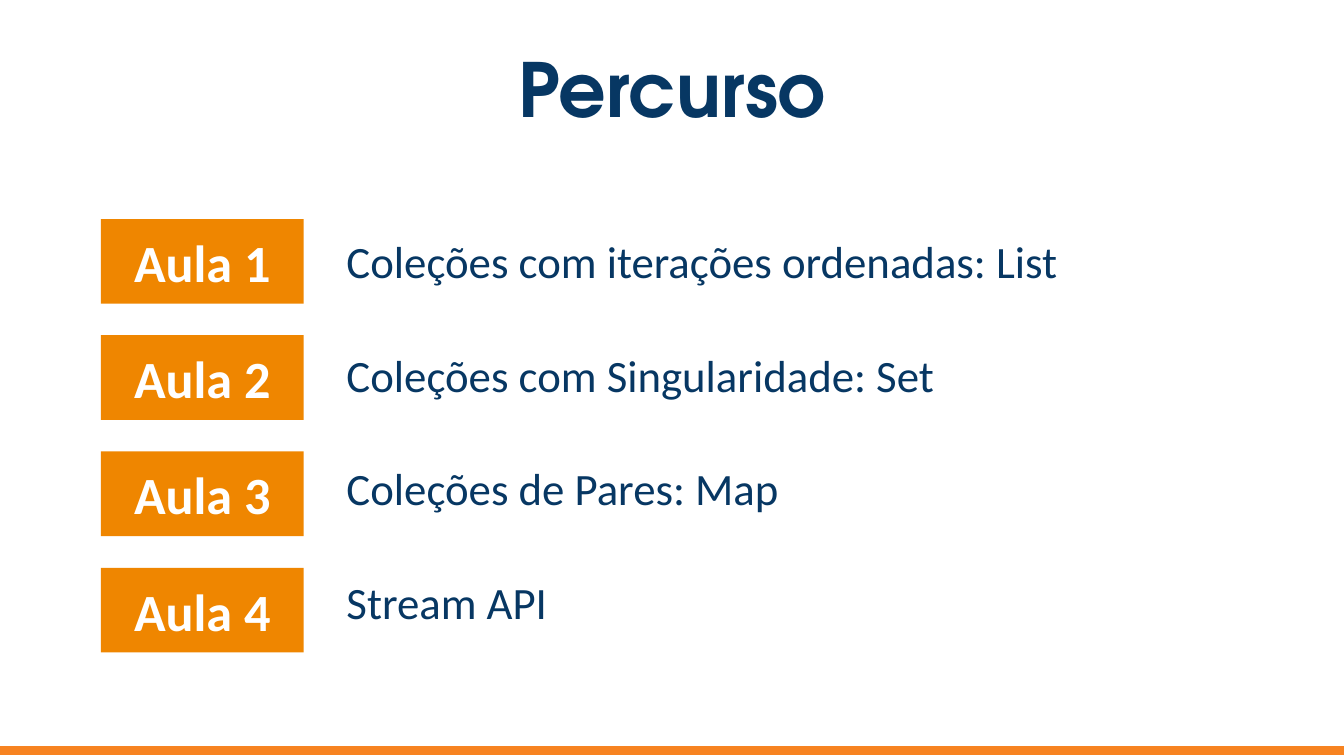
from pptx import Presentation
from pptx.dml.color import RGBColor
from pptx.enum.shapes import MSO_SHAPE
from pptx.enum.text import MSO_ANCHOR, PP_ALIGN
from pptx.util import Pt

PX = 4572
COLORS = {"navy": "073763", "orange": "EF8600", "bar": "F78321", "white": "FFFFFF"}
LESSONS = [
    "Coleções com iterações ordenadas: List",
    "Coleções com Singularidade: Set",
    "Coleções de Pares: Map",
    "Stream API",
]


def add_text(sp, text, size=24, font="Calibri", color="navy", bold=False,
             align=PP_ALIGN.LEFT, anchor=MSO_ANCHOR.TOP, inset=10):
    tf = sp.text_frame
    tf.word_wrap = True
    tf.vertical_anchor = anchor
    tf.margin_left = tf.margin_right = 20 * PX
    tf.margin_top = tf.margin_bottom = inset * PX
    p = tf.paragraphs[0]
    p.alignment = align
    r = p.add_run()
    r.text = text
    r.font.size = Pt(size)
    r.font.name = font
    r.font.bold = bold
    r.font.color.rgb = RGBColor.from_string(COLORS[color])


def add_rect(x, y, w, h, color):
    sp = s.shapes.add_shape(MSO_SHAPE.RECTANGLE, x * PX, y * PX, w * PX, h * PX)
    sp.shadow.inherit = False
    sp.fill.solid()
    sp.fill.fore_color.rgb = RGBColor.from_string(COLORS[color])
    sp.line.fill.background()
    return sp


prs = Presentation()
prs.slide_width = 2000 * PX
prs.slide_height = 1125 * PX
s = prs.slides.add_slide(prs.slide_layouts[6])

title = s.shapes.add_textbox(68 * PX, 66 * PX, 1864 * PX, 130 * PX)
add_text(title, "Percurso", size=40, font="TeX Gyre Adventor", bold=True,
         align=PP_ALIGN.CENTER, anchor=MSO_ANCHOR.MIDDLE, inset=20)

bar = add_rect(0, 1111, 2000, 12, "bar")
bar.line.color.rgb = RGBColor.from_string(COLORS["bar"])
bar.line.width = Pt(0.75)

for i, topic in enumerate(LESSONS):
    label = add_rect(150, 326 + 173 * i, 302, 126, "orange")
    add_text(label, f"Aula {i + 1}", size=28, color="white", bold=True,
             align=PP_ALIGN.CENTER, anchor=MSO_ANCHOR.MIDDLE, inset=20)
    box = s.shapes.add_textbox(496 * PX, (338 + 169 * i) * PX, 1140 * PX, 100 * PX)
    add_text(box, topic)

prs.save("out.pptx")
